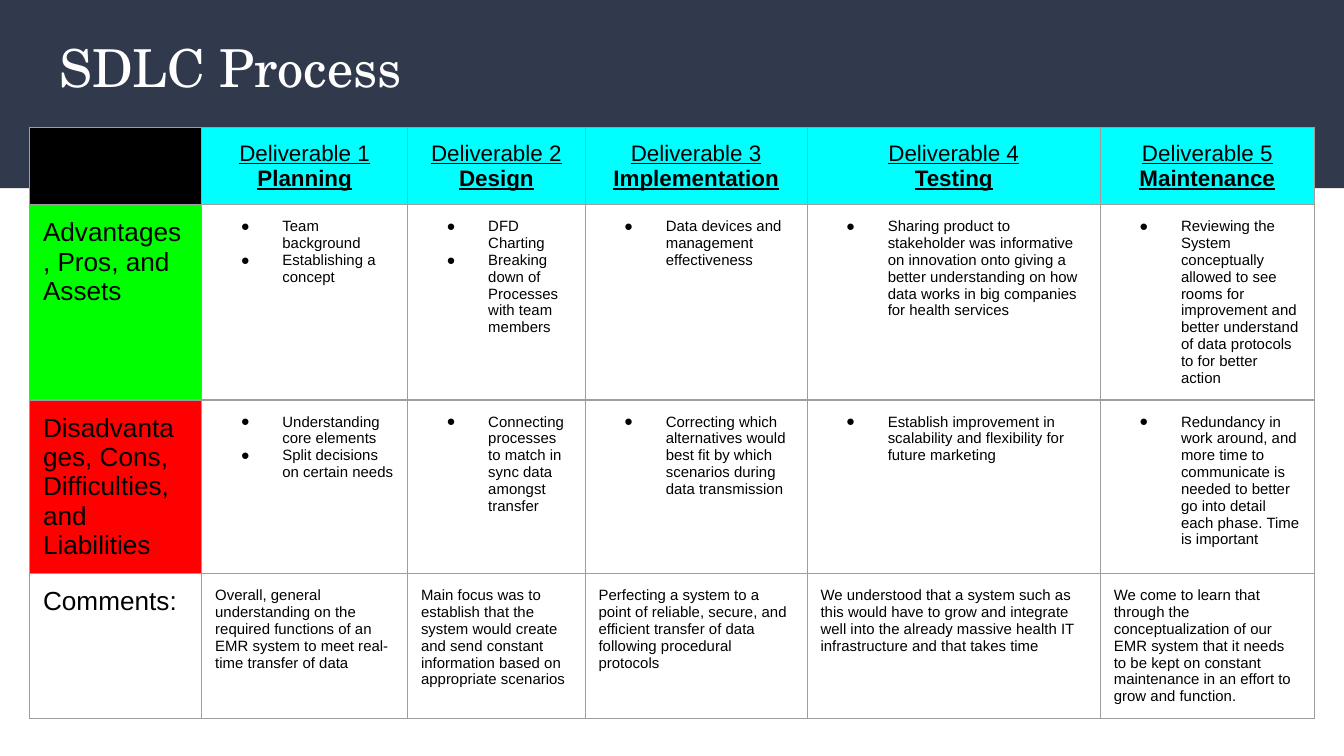
import lxml.etree
import pptx
import pptx.dml.color
import pptx.enum.shapes
import pptx.enum.text
import pptx.oxml.ns
import pptx.util

RGBColor = pptx.dml.color.RGBColor
Inches = pptx.util.Inches
Pt = pptx.util.Pt
qn = pptx.oxml.ns.qn
PP_ALIGN = pptx.enum.text.PP_ALIGN

NAVY = RGBColor(0x31, 0x39, 0x4D)
WHITE = RGBColor(0xFF, 0xFF, 0xFF)
BLACK = RGBColor(0x00, 0x00, 0x00)
CYAN = RGBColor(0x00, 0xFF, 0xFF)
GREEN = RGBColor(0x00, 0xFF, 0x00)
RED = RGBColor(0xFF, 0x00, 0x00)
GRAY = RGBColor(0x9E, 0x9E, 0x9E)

WIDTH = 10
HEIGHT = WIDTH * 9 / 16
MARGIN = Inches(0.1)
COLUMNS = [1.28, 1.53, 1.32, 1.65, 2.18, 1.59]
ROWS = [0.52, 1.24, 1.12, 0.91]

PHASES = ["Planning", "Design", "Implementation", "Testing", "Maintenance"]
ADVANTAGES = [
    ["Team background", "Establishing a concept"],
    ["DFD Charting", "Breaking down of Processes with team members"],
    ["Data devices and management effectiveness"],
    ["Sharing product to stakeholder was informative on innovation onto giving a better "
     "understanding on how data works in big companies for health services"],
    ["Reviewing the System conceptually allowed to see rooms for improvement and better "
     "understand of data protocols to for better action"],
]
DISADVANTAGES = [
    ["Understanding core elements", "Split decisions on certain needs"],
    ["Connecting processes to match in sync data amongst transfer"],
    ["Correcting which alternatives would best fit by which scenarios during data transmission"],
    ["Establish improvement in scalability and flexibility for future marketing"],
    ["Redundancy in work around, and more time to communicate is needed to better go into "
     "detail each phase. Time is important"],
]
COMMENTS = [
    ["Overall, general understanding on the required functions of an EMR system to meet "
     "real-time transfer of data"],
    ["Main focus was to establish that the system would create and send constant "
     "information based on appropriate scenarios"],
    ["Perfecting a system to a point of reliable, secure, and efficient transfer of data "
     "following procedural protocols"],
    ["We understood that a system such as this would have to grow and integrate well into "
     "the already massive health IT infrastructure and that takes time"],
    ["We come to learn that through the conceptualization of our EMR system that it needs "
     "to be kept on constant maintenance in an effort to grow and function."],
]
BODY = [
    ("Advantages, Pros, and Assets", GREEN, ADVANTAGES, True),
    ("Disadvantages, Cons, Difficulties, and Liabilities", RED, DISADVANTAGES, True),
    ("Comments:", None, COMMENTS, False),
]


def add_header(slide, left, top, width, height):
    """Draw the dark band and set the title inside it."""
    rectangle = pptx.enum.shapes.MSO_SHAPE.RECTANGLE
    band = slide.shapes.add_shape(rectangle, left, top, width, height)
    band.shadow.inherit = False
    band.fill.solid()
    band.fill.fore_color.rgb = NAVY
    band.line.fill.background()

    title = slide.shapes.title
    title._element.addprevious(band._element)
    title.left, title.top = left + Inches(0.34), top + Inches(0.16)
    title.width, title.height = width - Inches(0.68), Inches(0.68)
    frame = title.text_frame
    frame.text = "SDLC Process"
    frame.word_wrap = True
    frame.auto_size = pptx.enum.text.MSO_AUTO_SIZE.NONE
    frame.vertical_anchor = pptx.enum.text.MSO_ANCHOR.TOP
    frame.margin_left = frame.margin_right = MARGIN
    frame.margin_top = frame.margin_bottom = MARGIN
    paragraph = frame.paragraphs[0]
    paragraph.alignment = PP_ALIGN.LEFT
    paragraph.font.size = Pt(28)
    paragraph.font.name = "TeX Gyre Schola"
    paragraph.font.color.rgb = WHITE


def add_borders(cell):
    """Give the cell a thin gray line on each side."""
    properties = cell._tc.get_or_add_tcPr()
    for index, side in enumerate(["a:lnL", "a:lnR", "a:lnT", "a:lnB"]):
        line = lxml.etree.Element(qn(side), w=str(Pt(0.75)))
        fill = lxml.etree.SubElement(line, qn("a:solidFill"))
        lxml.etree.SubElement(fill, qn("a:srgbClr"), val=str(GRAY))
        properties.insert(index, line)


def add_bullet(paragraph, size):
    """Hang the paragraph behind a black round bullet of the given size."""
    properties = paragraph._p.get_or_add_pPr()
    properties.set("marL", str(Inches(0.5)))
    properties.set("indent", str(Inches(-0.31)))
    color = lxml.etree.Element(qn("a:buClr"))
    lxml.etree.SubElement(color, qn("a:srgbClr"), val=str(BLACK))
    parts = [
        color,
        lxml.etree.Element(qn("a:buSzPts"), val=str(size * 100)),
        lxml.etree.Element(qn("a:buFont"), typeface="Arial"),
        lxml.etree.Element(qn("a:buChar"), char="●"),
    ]
    for index, part in enumerate(parts):
        properties.insert(index, part)


def fill_cell(cell, lines, size, color=None, bulleted=False):
    """Write the lines into a cell and set its fill, margins and borders."""
    cell.margin_left = cell.margin_right = MARGIN
    cell.margin_top = cell.margin_bottom = MARGIN
    if color is None:
        cell.fill.background()
    else:
        cell.fill.solid()
        cell.fill.fore_color.rgb = color
    add_borders(cell)
    cell.text_frame.text = "\n".join(lines)
    for paragraph in cell.text_frame.paragraphs:
        paragraph.font.size = Pt(size)
        paragraph.font.name = "Arial"
        paragraph.font.bold = False
        paragraph.font.color.rgb = BLACK
        if bulleted:
            add_bullet(paragraph, size)


def add_phase_table(slide, left, top, width, height):
    """Build the grid of phases against advantages, disadvantages and comments."""
    frame = slide.shapes.add_table(len(ROWS), len(COLUMNS), left, top, width, height)
    table = frame.table
    table.first_row = table.horz_banding = False
    for column, share in zip(table.columns, COLUMNS):
        column.width = int(width * share / sum(COLUMNS))
    for row, share in zip(table.rows, ROWS):
        row.height = int(height * share / sum(ROWS))

    fill_cell(table.cell(0, 0), [""], 12, BLACK)
    for number, phase in enumerate(PHASES, start=1):
        cell = table.cell(0, number)
        fill_cell(cell, [f"Deliverable {number}", phase], 12, CYAN)
        for paragraph in cell.text_frame.paragraphs:
            paragraph.alignment = PP_ALIGN.CENTER
            paragraph.font.underline = True
        cell.text_frame.paragraphs[1].font.bold = True

    for row, (label, color, entries, bulleted) in enumerate(BODY, start=1):
        fill_cell(table.cell(row, 0), [label], 14, color)
        for column, lines in enumerate(entries, start=1):
            fill_cell(table.cell(row, column), lines, 8, bulleted=bulleted)


def main():
    """Create the presentation and save it."""
    presentation = pptx.Presentation()
    presentation.slide_width = Inches(WIDTH)
    presentation.slide_height = Inches(HEIGHT)
    slide = presentation.slides.add_slide(presentation.slide_layouts[5])
    add_header(slide, 0, 0, presentation.slide_width, Inches(1.4))
    add_phase_table(slide, Inches(0.22), Inches(0.95), Inches(9.56), Inches(sum(ROWS)))
    presentation.save("out.pptx")


if __name__ == "__main__":
    main()
